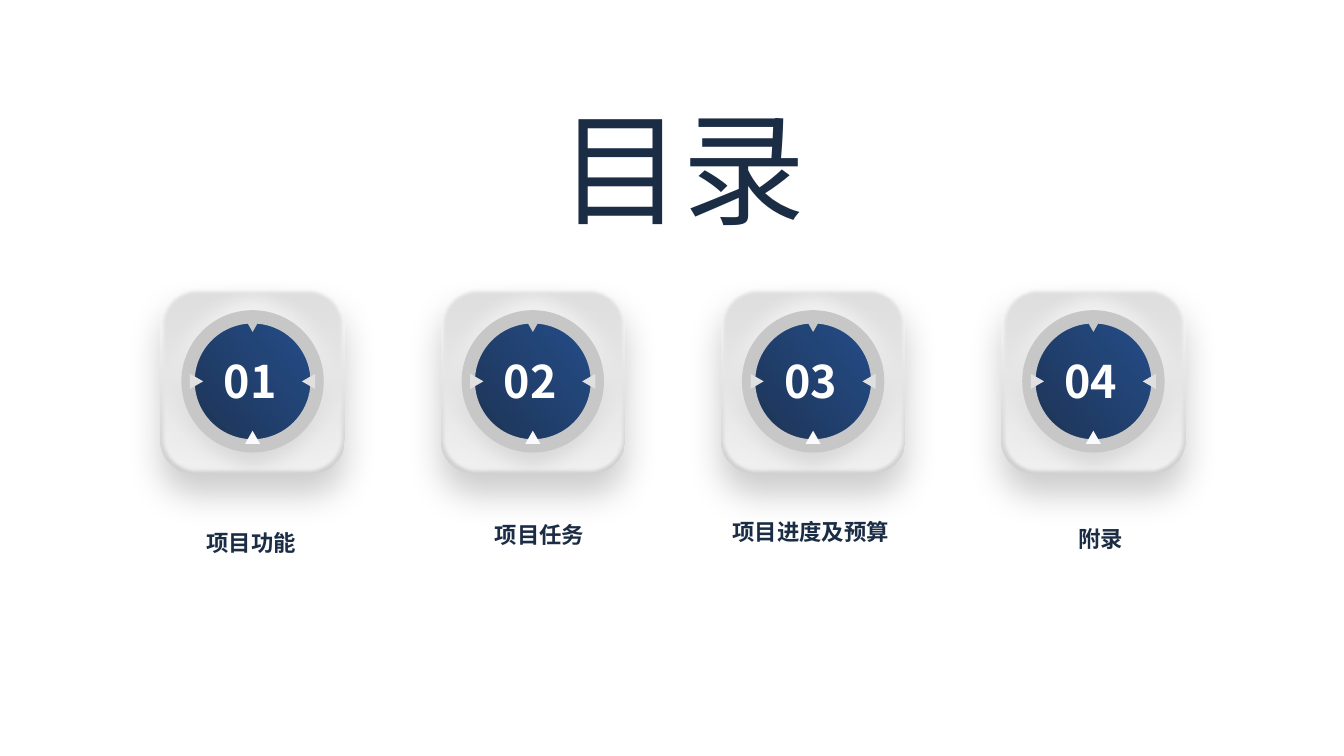
import pptx
import pptx.util
import pptx.dml.color
import pptx.enum.shapes
import pptx.enum.text
import pptx.oxml
import pptx.oxml.ns

Pt = pptx.util.Pt
MSO = pptx.enum.shapes.MSO_SHAPE
NS = pptx.oxml.ns.nsdecls("a")

COLORS = {
    "white": "FFFFFF", "base_top": "FCFCFC", "base_bottom": "CFCFCF",
    "tile_top": "DEDEDE", "tile_bottom": "F2F2F2",
    "glow_top": "F7F7F7", "glow_bottom": "D4D4D4",
    "disc_dark": "1D3353", "disc_light": "254E8B", "ring": "C7C7C7",
    "side_mark": "E0E0E0", "top_mark": "C7C7C7", "bottom_mark": "FAFAFA",
    "text_dark": "1B2C45", "text_light": "254E8C",
}
SHADOW = ('<a:outerShdw %s blurRad="%d" dist="%d" dir="5400000" algn="t" rotWithShape="0">'
          '<a:srgbClr val="000000"><a:alpha val="20000"/></a:srgbClr></a:outerShdw>'
          % (NS, Pt(25), Pt(15)))
NAVY = ("text_dark", "text_light", 320)


def soft_edge(radius):
    return '<a:softEdge %s rad="%d"/>' % (NS, Pt(radius))


class Deck:
    """Holds the style and the current slide."""

    def __init__(self, width, height):
        self.prs = pptx.Presentation()
        self.prs.slide_width, self.prs.slide_height = Pt(width), Pt(height)
        self.s = self.prs.slides.add_slide(self.prs.slide_layouts[6])
        self.target = self.s.shapes

    def group(self):
        self.target = self.s.shapes.add_group_shape().shapes

    def ungroup(self):
        self.target = self.s.shapes

    def rgb(self, name):
        return pptx.dml.color.RGBColor.from_string(COLORS[name])

    def paint(self, fill, paint):
        """A colour name is solid; (start, end, clockwise angle) is a gradient."""
        if isinstance(paint, str):
            fill.solid()
            fill.fore_color.rgb = self.rgb(paint)
            return
        start, end, angle = paint
        fill.gradient()
        fill.gradient_angle = 360 - angle
        for stop, name in zip(fill.gradient_stops, (start, end)):
            stop.color.rgb = self.rgb(name)

    def shape(self, kind, cx, cy, w, h, paint, line=None, effect=None, rotation=0, adj=None):
        sp = self.target.add_shape(kind, Pt(cx - w / 2), Pt(cy - h / 2), Pt(w), Pt(h))
        sp.rotation = rotation
        if adj is not None:
            sp.adjustments[0] = adj
        self.paint(sp.fill, paint)
        if line:
            self.paint(sp.line.fill, line[0])
            sp.line.width = Pt(line[1])
        else:
            sp.line.fill.background()
        sp.shadow.inherit = False
        if effect:
            effects = sp._element.spPr.find(pptx.oxml.ns.qn("a:effectLst"))
            effects.append(pptx.oxml.parse_xml(effect))

    def text(self, text, x, y, w, h, paint, **font):
        sp = self.target.add_textbox(Pt(x), Pt(y), Pt(w), Pt(h))
        tf = sp.text_frame
        frame = {"word_wrap": False,
                 "auto_size": pptx.enum.text.MSO_AUTO_SIZE.SHAPE_TO_FIT_TEXT}
        for key, value in frame.items():
            setattr(tf, key, value)
        p = tf.paragraphs[0]
        r = p.add_run()
        r.text = text
        for key, value in font.items():
            setattr(r.font, key, value)
        self.paint(r.font.fill, paint)
        latin = r._r.rPr.find(pptx.oxml.ns.qn("a:latin"))
        latin.addnext(pptx.oxml.parse_xml('<a:ea %s typeface="%s"/>' % (NS, font["name"])))


deck = Deck(960, 540)

# Numbered buttons
FIRST_X, CENTER_Y, PITCH = 180.4, 272.4, 200.2
TILE, GLOW, DISC, MARK_OFFSET = 131.8, 146, 92.2, 40
MARKS = [(-1, 0, 90, "side_mark"), (1, 0, 270, "side_mark"),
         (0, -1, 180, "top_mark"), (0, 1, 0, "bottom_mark")]

for i in range(4):
    cx = FIRST_X + i * PITCH
    deck.group()
    deck.shape(MSO.ROUNDED_RECTANGLE, cx, CENTER_Y, TILE, TILE,
               ("base_top", "base_bottom", 90), effect=SHADOW, adj=0.183)
    deck.shape(MSO.ROUNDED_RECTANGLE, cx, CENTER_Y, TILE, TILE,
               ("tile_top", "tile_bottom", 90), effect=soft_edge(2.5), adj=0.183)
    deck.shape(MSO.OVAL, cx, CENTER_Y, GLOW, GLOW,
               ("glow_top", "glow_bottom", 90), effect=soft_edge(12.5))
    deck.shape(MSO.OVAL, cx, CENTER_Y, DISC, DISC,
               ("disc_dark", "disc_light", 320), line=("ring", 9.5))
    for dx, dy, rotation, color in MARKS:
        deck.shape(MSO.ISOSCELES_TRIANGLE, cx + dx * MARK_OFFSET,
                   CENTER_Y + dy * MARK_OFFSET, 10.8, 9.4, color, rotation=rotation)
    deck.text(f"{i + 1:02d}", cx - 27.7, 249.2, 56.2, 46.1, "white",
              name="Noto Sans CJK SC", size=Pt(32), bold=True)
deck.ungroup()

# Section labels
LABELS = [("项目功能", 140.4, 374.4, 79.9, 41), ("项目任务", 346.3, 368.6, 79.9, 41),
          ("项目进度及预算", 516.2, 366.5, 128.2, 26.6), ("附录", 763.2, 371.5, 46.8, 41)]
for label, x, y, w, h in LABELS:
    deck.text(label, x, y, w, h, NAVY, name="Noto Sans CJK JP", size=Pt(16), bold=True)

# Title
deck.text("目录", 392.4, 62.6, 192.2, 113.8, NAVY, name="Roboto", size=Pt(88))

deck.prs.save("out.pptx")
